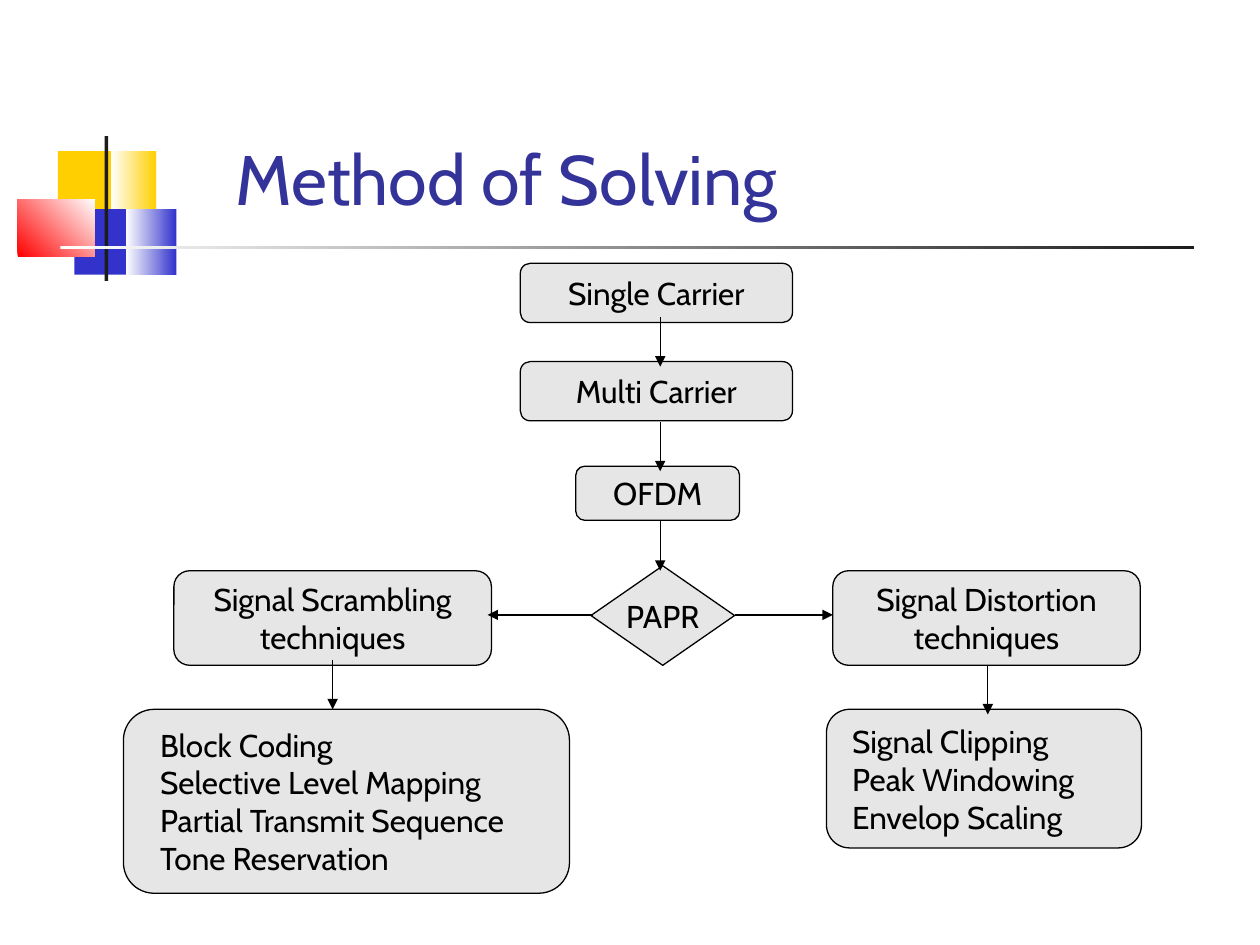
from lxml.etree import SubElement
from pptx import Presentation
from pptx.dml.color import RGBColor
from pptx.enum.shapes import MSO_CONNECTOR, MSO_SHAPE
from pptx.enum.text import MSO_ANCHOR, MSO_AUTO_SIZE, PP_ALIGN
from pptx.oxml.ns import qn
from pptx.util import Inches, Pt

FONT = "Cabin"
BLACK = RGBColor(0x00, 0x00, 0x00)
WHITE = RGBColor(0xFF, 0xFF, 0xFF)
GRAY = RGBColor(0xE6, 0xE6, 0xE6)
CHARCOAL = RGBColor(0x1C, 0x1C, 0x1C)
YELLOW = RGBColor(0xFF, 0xCF, 0x01)
BLUE = RGBColor(0x33, 0x33, 0xCC)
RED = RGBColor(0xFF, 0x00, 0x00)
TITLE_BLUE = RGBColor(0x33, 0x33, 0x99)

# left, top, width, height, colours (two make a gradient), gradient angle
ORNAMENTS = [
    (0.46, 1.2, 0.48, 0.52, [YELLOW], 0),
    (0.88, 1.2, 0.36, 0.52, [WHITE, YELLOW], 0),
    (0.59, 1.66, 0.46, 0.52, [BLUE], 0),
    (1, 1.66, 0.4, 0.52, [WHITE, BLUE], 0),
    (0.14, 1.58, 0.61, 0.46, [RED, WHITE], 45),
    (0.83, 1.08, 0.03, 1.15, [CHARCOAL], 0),
    (0.48, 1.95, 9, 0.03, [WHITE, CHARCOAL], 0),
]

STEPS = [
    (4.13, 2.09, 2.16, 0.47, ["Single Carrier"]),
    (4.13, 2.87, 2.16, 0.47, ["Multi Carrier"]),
    (4.57, 3.7, 1.3, 0.43, ["OFDM"]),
    (1.38, 4.53, 2.52, 0.75, ["Signal Scrambling", "techniques"]),
    (6.61, 4.53, 2.44, 0.75, ["Signal Distortion", "techniques"]),
]

SCRAMBLING = ["Block Coding", "Selective Level Mapping",
              "Partial Transmit Sequence", "Tone Reservation"]
DISTORTION = ["Signal Clipping", "Peak Windowing", "Envelop Scaling"]

ARROWS = [
    (5.24, 2.52, 5.24, 2.91),
    (5.24, 3.35, 5.24, 3.74),
    (5.24, 4.13, 5.24, 4.53),
    (5.83, 4.88, 6.61, 4.88),
    (4.71, 4.88, 3.87, 4.88),
    (7.84, 5.28, 7.84, 5.67),
    (2.64, 5.24, 2.64, 5.63),
]


def add_run(paragraph, text, size, color):
    run = paragraph.add_run()
    run.text = text
    run.font.name = FONT
    run.font.size = Pt(size)
    run.font.color.rgb = color


def add_title(slide, text):
    title = slide.shapes.title
    title.left, title.top = Inches(1.77), Inches(1.02)
    title.width, title.height = Inches(7.48), Inches(0.77)
    frame = title.text_frame
    frame.auto_size = MSO_AUTO_SIZE.NONE
    frame.vertical_anchor = MSO_ANCHOR.MIDDLE
    paragraph = frame.paragraphs[0]
    paragraph.alignment = PP_ALIGN.LEFT
    add_run(paragraph, text, 40, TITLE_BLUE)


def add_ornament(slide, left, top, width, height, colors, angle):
    shape = slide.shapes.add_shape(MSO_SHAPE.RECTANGLE, Inches(left), Inches(top),
                                   Inches(width), Inches(height))
    shape.shadow.inherit = False
    shape.line.fill.background()
    if len(colors) == 1:
        shape.fill.solid()
        shape.fill.fore_color.rgb = colors[0]
    else:
        shape.fill.gradient()
        shape.fill.gradient_angle = angle
        for stop, color in zip(shape.fill.gradient_stops, colors):
            stop.color.rgb = color


def add_node(slide, left, top, width, height, lines,
             kind=MSO_SHAPE.ROUNDED_RECTANGLE, list_inset=None):
    """Add a gray box; a list_inset in inches makes its text a left-aligned list."""
    shape = slide.shapes.add_shape(kind, Inches(left), Inches(top),
                                   Inches(width), Inches(height))
    shape.shadow.inherit = False
    shape.fill.solid()
    shape.fill.fore_color.rgb = GRAY
    shape.line.color.rgb = BLACK
    shape.line.width = Pt(0.75)
    frame = shape.text_frame
    frame.vertical_anchor = MSO_ANCHOR.MIDDLE
    is_list = list_inset is not None
    frame.word_wrap = is_list
    if is_list:
        frame.margin_left = Inches(list_inset)
    for index, line in enumerate(lines):
        paragraph = frame.add_paragraph() if index else frame.paragraphs[0]
        paragraph.alignment = PP_ALIGN.LEFT if is_list else PP_ALIGN.CENTER
        add_run(paragraph, line, 18, BLACK)


def add_arrow(slide, *ends):
    connector = slide.shapes.add_connector(MSO_CONNECTOR.STRAIGHT, *map(Inches, ends))
    connector.line.color.rgb = BLACK
    connector.line.width = Pt(0.75)
    SubElement(connector.line._get_or_add_ln(), qn("a:tailEnd"), type="triangle")
    SubElement(connector._element.spPr, qn("a:effectLst"))


def main():
    presentation = Presentation()
    presentation.slide_width, presentation.slide_height = Inches(10), Inches(7.5)
    slide = presentation.slides.add_slide(presentation.slide_layouts[5])

    for ornament in ORNAMENTS:
        add_ornament(slide, *ornament)
    add_title(slide, "Method of Solving")
    for step in STEPS:
        add_node(slide, *step)
    add_node(slide, 4.69, 4.49, 1.14, 0.79, ["PAPR"], kind=MSO_SHAPE.DIAMOND)
    add_node(slide, 0.98, 5.63, 3.54, 1.46, SCRAMBLING, list_inset=0.22)
    add_node(slide, 6.56, 5.63, 2.5, 1.1, DISTORTION, list_inset=0.15)
    for arrow in ARROWS:
        add_arrow(slide, *arrow)

    presentation.save("out.pptx")


if __name__ == "__main__":
    main()
